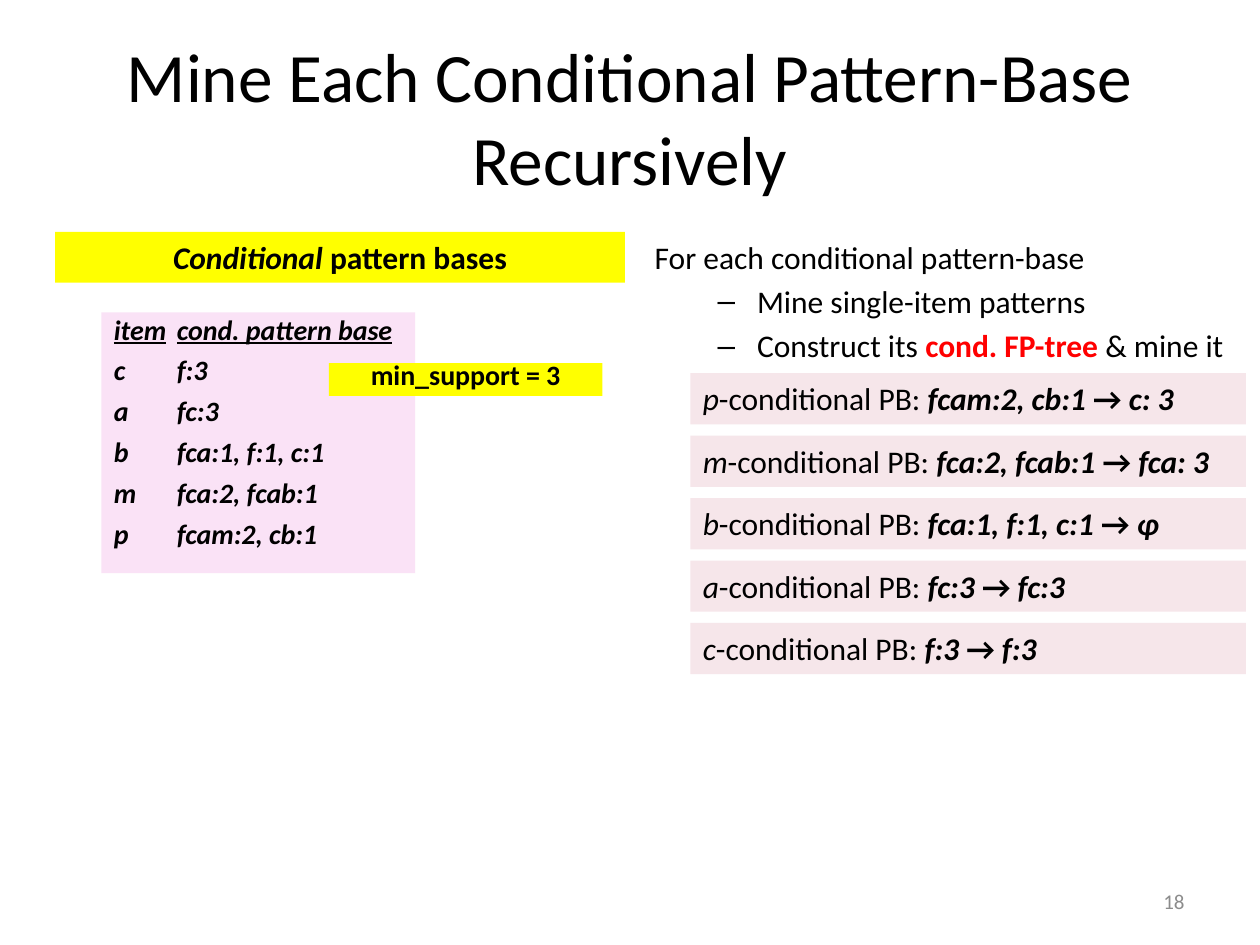
import dataclasses

import pptx
import pptx.dml.color
import pptx.enum.shapes
import pptx.enum.text
import pptx.oxml.ns
import pptx.util
from lxml import etree

Pt = pptx.util.Pt
ALIGN = pptx.enum.text.PP_ALIGN
ANCHOR = pptx.enum.text.MSO_ANCHOR


@dataclasses.dataclass(frozen=True)
class Theme:
    """Hold the font, colours and type sizes of the slide."""
    font: str = "Calibri"
    ink: str = "000000"
    accent: str = "FF0000"
    muted: str = "8C8C8C"
    yellow: str = "FFFF00"
    lilac: str = "FAE2F6"
    rose: str = "F6E6EA"
    title: float = 39.6
    body: float = 18
    table: float = 16
    footer: float = 12


THEME = Theme()


def rgb(value):
    """Turn a hex string into a colour."""
    return pptx.dml.color.RGBColor.from_string(value)


def place(shape, box):
    """Move and size a shape to a box in points."""
    shape.left, shape.top, shape.width, shape.height = (Pt(length) for length in box)


def write(para, spans, size, align=ALIGN.LEFT, color=THEME.ink):
    """Write (text, style) spans, where style holds b, i, u or r for red."""
    para.alignment = align
    for text, style in spans:
        span = para.add_run()
        span.text = text
        span.font.name = THEME.font
        span.font.size = Pt(size)
        span.font.bold = "b" in style
        span.font.italic = "i" in style
        span.font.underline = "u" in style
        span.font.color.rgb = rgb(THEME.accent if "r" in style else color)


def add_text_box(page, box):
    """Add a wrapping text box and return its text frame."""
    frame = page.shapes.add_textbox(*(Pt(length) for length in box)).text_frame
    frame.word_wrap = True
    return frame


def add_panel(page, box, fill):
    """Add a plain filled rectangle and return its text frame."""
    kind = pptx.enum.shapes.MSO_SHAPE.RECTANGLE
    shape = page.shapes.add_shape(kind, *(Pt(length) for length in box))
    shape.shadow.inherit = False
    shape.fill.solid()
    shape.fill.fore_color.rgb = rgb(fill)
    shape.line.fill.background()
    shape.text_frame.word_wrap = True
    shape.text_frame.vertical_anchor = ANCHOR.TOP
    return shape.text_frame


def next_paragraph(frame, index, space):
    """Return the paragraph at an index, spaced from the one before it."""
    if index == 0:
        return frame.paragraphs[0]
    para = frame.add_paragraph()
    para.space_before = Pt(space)
    return para


def add_element(parent, tag, **attributes):
    """Append a drawing element with attributes."""
    return etree.SubElement(parent, pptx.oxml.ns.qn(tag), **attributes)


def add_dash(para):
    """Give a paragraph a hanging dash bullet."""
    settings = para._p.get_or_add_pPr()
    settings.set("marL", str(Pt(58.5)))
    settings.set("indent", str(Pt(-22.5)))
    add_element(settings, "a:buFont", typeface="Arial")
    add_element(settings, "a:buChar", char="–")


def add_tab(para, position):
    """Give a paragraph a left tab stop."""
    stops = add_element(para._p.get_or_add_pPr(), "a:tabLst")
    add_element(stops, "a:tab", pos=str(Pt(position)), algn="l")


def fill_title(page, box):
    """Place and format the title."""
    title = page.shapes.title
    place(title, box)
    title.text_frame.vertical_anchor = ANCHOR.MIDDLE
    write(title.text_frame.paragraphs[0],
          [("Mine Each Conditional Pattern-Base Recursively", "")],
          THEME.title, ALIGN.CENTER)


def add_page_number(page, box):
    """Add the page number."""
    frame = add_text_box(page, box)
    frame.vertical_anchor = ANCHOR.MIDDLE
    write(frame.paragraphs[0], [("18", "")], THEME.footer, ALIGN.RIGHT, THEME.muted)


def add_steps(page, box):
    """Add the mining steps."""
    steps = [
        [("For each conditional pattern-base", "")],
        [("Mine single-item patterns", "")],
        [("Construct its ", ""), ("cond. FP-tree ", "br"), ("& mine it", "")],
    ]
    frame = add_text_box(page, box)
    for index, spans in enumerate(steps):
        para = next_paragraph(frame, index, 3.6)
        if index:
            para.level = 1
            add_dash(para)
        write(para, spans, THEME.body)


def add_pattern_bases(page, box):
    """Add the heading, the item list and the support label."""
    left, top, width, height = box
    heading = add_panel(page, (left, top, width, 29), THEME.yellow)
    write(heading.paragraphs[0], [("Conditional ", "bi"), ("pattern bases", "b")],
          THEME.body, ALIGN.CENTER)
    rows = [("item", "cond. pattern base"), ("c", "f:3"), ("a", "fc:3"),
            ("b", "fca:1, f:1, c:1"), ("m", "fca:2, fcab:1"), ("p", "fcam:2, cb:1")]
    items = add_panel(page, (left + 26.5, top + 46, 179.3, height - 46), THEME.lilac)
    for index, row in enumerate(rows):
        para = next_paragraph(items, index, 8)
        para.line_spacing = 0.8
        add_tab(para, 36)
        write(para, [("\t".join(row), "bi" if index else "biu")], THEME.table)
    support = add_panel(page, (left + 156.5, top + 75, 156.3, 18.7), THEME.yellow)
    support.paragraphs[0].line_spacing = 0.6
    write(support.paragraphs[0], [("min_support = 3", "b")], THEME.table, ALIGN.CENTER)


def add_results(page, box):
    """Add one bar for each conditional pattern base."""
    results = [("p", "fcam:2, cb:1", "c: 3"), ("m", "fca:2, fcab:1", "fca: 3"),
               ("b", "fca:1, f:1, c:1", "ɸ"), ("a", "fc:3", "fc:3"), ("c", "f:3", "f:3")]
    left, top, width, height = box
    bar = 29.3
    pitch = (height - bar) / (len(results) - 1)
    for index, (item, base, tree) in enumerate(results):
        frame = add_panel(page, (left, top + index * pitch, width, bar), THEME.rose)
        write(frame.paragraphs[0],
              [(item, "i"), ("-conditional PB: ", ""), (base + " ", "bi"),
               ("→ ", "b"), (tree, "bi")], THEME.body)


def main():
    """Build the slide and save it."""
    deck = pptx.Presentation()
    deck.slide_width, deck.slide_height = Pt(720), Pt(540)
    page = deck.slides.add_slide(deck.slide_layouts[5])
    fill_title(page, (36, 21.6, 648, 90))
    add_page_number(page, (516, 500.5, 168, 28.8))
    add_steps(page, (367, 132.5, 353, 106))
    add_pattern_bases(page, (31.5, 132.5, 325.7, 195))
    add_results(page, (394.5, 213.3, 317.5, 172))
    deck.save("out.pptx")


if __name__ == "__main__":
    main()
